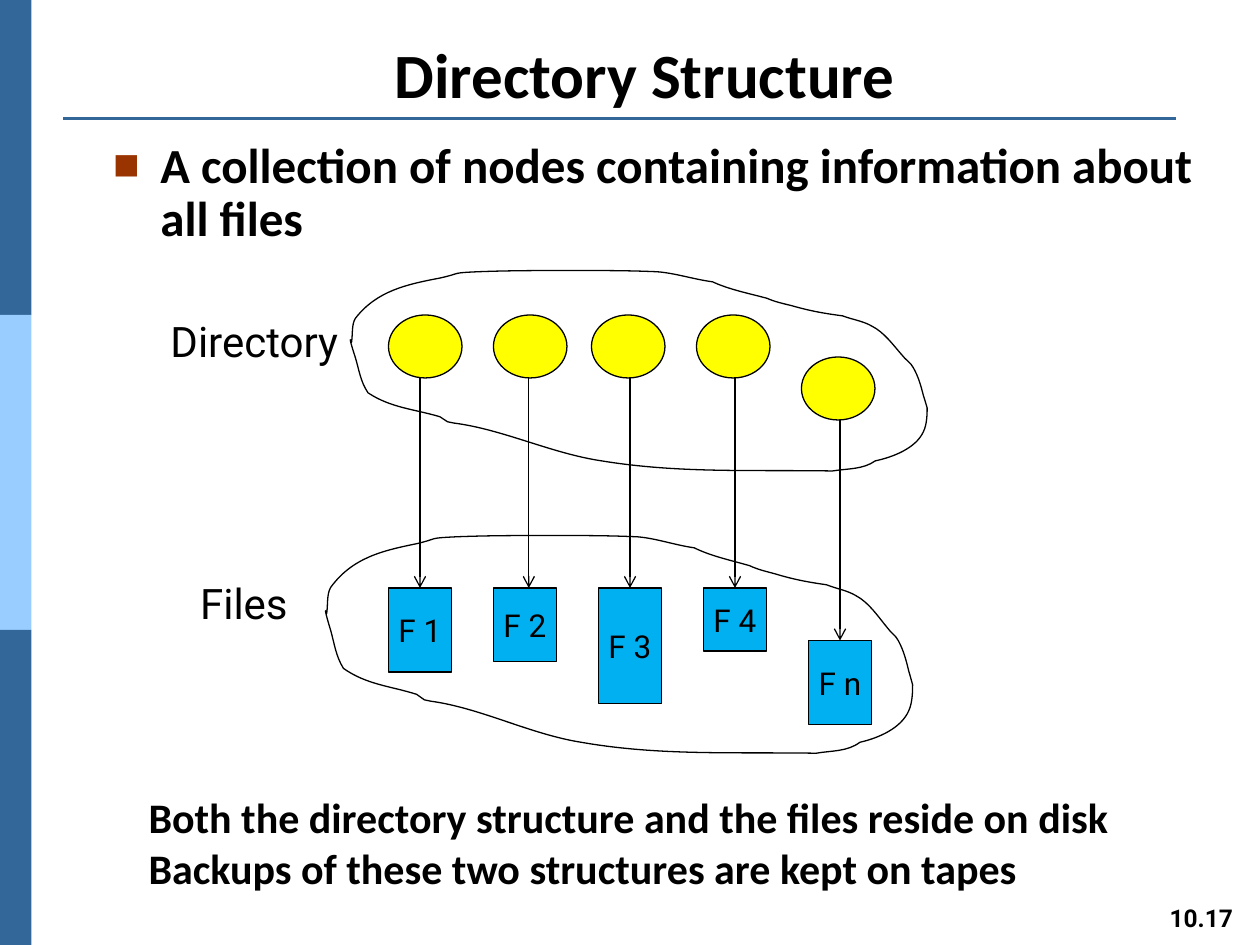
from dataclasses import dataclass

from lxml.etree import SubElement
from pptx import Presentation
from pptx.dml.color import RGBColor
from pptx.enum.shapes import MSO_CONNECTOR, MSO_SHAPE
from pptx.enum.text import MSO_ANCHOR, MSO_AUTO_SIZE, PP_ALIGN
from pptx.oxml.ns import qn
from pptx.util import Pt

BLACK, NAVY, SKY = "000000", "336699", "99CCFF"
YELLOW, CYAN, RUST = "FFFF00", "00B0F0", "993300"

HEADING = {"name": "Calibri", "size": Pt(36), "bold": True}
BULLET = HEADING | {"size": Pt(28)}
REMARK = HEADING | {"size": Pt(24)}
LABEL = {"name": "Roboto", "size": Pt(24), "bold": False}
FILE_LABEL = LABEL | {"size": Pt(18)}
PAGE = LABEL | {"size": Pt(14), "bold": True}

NODE_WIDTH, NODE_HEIGHT, FILE_WIDTH = 42, 36, 36
FILE_LEFT, FILE_STEP = 222, 60

# Closed Bezier outline on a 457 x 161 grid: a start, then three points per curve
CLOUD_GRID = (457, 161)
CLOUD = [
    (1, 57),
    (2, 50), (1, 43), (4, 38), (21, 16), (45, 11), (71, 6),
    (89, 2), (79, 2), (101, 1), (126, 0), (151, 0), (177, 0),
    (199, 0), (221, 0), (243, 1), (257, 2), (272, 7), (287, 9),
    (300, 15), (315, 18), (330, 22), (337, 25), (342, 26), (350, 28),
    (364, 32), (375, 34), (390, 36), (398, 39), (406, 40), (413, 44),
    (423, 49), (430, 59), (437, 67), (440, 71), (444, 73), (446, 77),
    (450, 84), (452, 91), (454, 99), (455, 102), (457, 109), (457, 109),
    (457, 113), (457, 122), (454, 128), (448, 141), (430, 148), (416, 151),
    (406, 158), (394, 157), (382, 159), (318, 158), (260, 161), (199, 151),
    (159, 145), (121, 126), (82, 121), (80, 121), (79, 120), (77, 120),
    (75, 119), (73, 117), (71, 116), (51, 110), (32, 109), (14, 97),
    (8, 88), (7, 79), (4, 69), (4, 69), (0, 57), (0, 55),
    (0, 54), (1, 56), (1, 57),
]


@dataclass
class Entry:
    """A directory node and the file it points to."""
    name: str
    node_left: float
    node_top: float
    arrow_x: float
    file_top: float
    file_height: float


ENTRIES = [
    Entry("F 1", 222, 180, 240, 336, 48),
    Entry("F 2", 282, 180, 302.2, 336, 42),
    Entry("F 3", 338, 180, 360, 336, 66),
    Entry("F 4", 398, 180, 420, 336, 36),
    Entry("F n", 458, 204, 480, 366, 48),
]


def rgb(color: str) -> RGBColor:
    return RGBColor.from_string(color)


def write(frame, lines: list[str], font: dict, **layout) -> None:
    """Fill a text frame; layout holds frame attributes and the alignment."""
    align = layout.pop("align", PP_ALIGN.CENTER)
    for attribute, value in ({"auto_size": MSO_AUTO_SIZE.NONE} | layout).items():
        setattr(frame, attribute, value)
    frame.text = "\n".join(lines)
    for paragraph in frame.paragraphs:
        paragraph.alignment = align
        for run in paragraph.runs:
            for attribute, value in font.items():
                setattr(run.font, attribute, value)
            run.font.color.rgb = rgb(BLACK)


def place(shape, left: float, top: float, width: float, height: float) -> None:
    shape.left, shape.top = Pt(left), Pt(top)
    shape.width, shape.height = Pt(width), Pt(height)


def add_text(slide, box: tuple, lines: list[str], font: dict, **layout) -> None:
    frame = slide.shapes.add_textbox(*map(Pt, box)).text_frame
    write(frame, lines, font, **layout)


def outline(shape, color: str = BLACK, width: float = 0.75) -> None:
    shape.line.color.rgb = rgb(color)
    shape.line.width = Pt(width)


def add_filled(slide, kind: MSO_SHAPE, box: tuple, color: str, outlined: bool = True):
    shape = slide.shapes.add_shape(kind, *map(Pt, box))
    shape.shadow.inherit = False
    shape.fill.solid()
    shape.fill.fore_color.rgb = rgb(color)
    if outlined:
        outline(shape)
    else:
        shape.line.fill.background()
    return shape


def add_line(slide, start: tuple, end: tuple, color: str = BLACK, width: float = 0.75):
    line = slide.shapes.add_connector(MSO_CONNECTOR.STRAIGHT, *map(Pt, start + end))
    outline(line, color, width)
    SubElement(line._element.spPr, qn("a:effectLst"))
    return line


def add_entry(slide, entry: Entry, file_left: float) -> None:
    node = (entry.node_left, entry.node_top, NODE_WIDTH, NODE_HEIGHT)
    add_filled(slide, MSO_SHAPE.OVAL, node, YELLOW)
    file_box = (file_left, entry.file_top, FILE_WIDTH, entry.file_height)
    file = add_filled(slide, MSO_SHAPE.RECTANGLE, file_box, CYAN)
    write(file.text_frame, [entry.name], FILE_LABEL,
          word_wrap=False, vertical_anchor=MSO_ANCHOR.MIDDLE)
    arrow = add_line(slide, (entry.arrow_x, entry.node_top + NODE_HEIGHT),
                     (entry.arrow_x, entry.file_top))
    if entry.arrow_x == file_left + FILE_WIDTH / 2:
        arrow.end_connect(file, 0)
    SubElement(arrow.line._get_or_add_ln(), qn("a:tailEnd"), type="arrow")


def bend(freeform) -> None:
    """Join every three line segments of a freeform into one Bezier curve."""
    segments = list(freeform._element.iter(qn("a:lnTo")))
    for first in range(0, len(segments), 3):
        curve, *others = segments[first:first + 3]
        curve.tag = qn("a:cubicBezTo")
        for other in others:
            curve.append(other[0])
            other.getparent().remove(other)


def add_cloud(slide, left: float, top: float, width: float, height: float) -> None:
    points = [(Pt(left + x * width / CLOUD_GRID[0]), Pt(top + y * height / CLOUD_GRID[1]))
              for x, y in CLOUD]
    builder = slide.shapes.build_freeform(*points[0])
    builder.add_line_segments(points[1:], close=True)
    cloud = builder.convert_to_shape()
    bend(cloud)
    cloud.shadow.inherit = False
    cloud.fill.background()
    outline(cloud)


def add_bullet(paragraph) -> None:
    paragraph.line_spacing = 0.9
    paragraph.space_before = Pt(9.8)
    properties = paragraph._p.get_or_add_pPr()
    properties.set("marL", str(Pt(27)))
    properties.set("indent", str(Pt(-27)))
    color = SubElement(properties, qn("a:buClr"))
    SubElement(color, qn("a:srgbClr"), val=RUST)
    SubElement(properties, qn("a:buSzPct"), val="90000")
    SubElement(properties, qn("a:buFont"), typeface="Arial")
    SubElement(properties, qn("a:buChar"), char="■")


def main() -> None:
    deck = Presentation()
    deck.slide_width, deck.slide_height = Pt(720), Pt(540)
    slide = deck.slides.add_slide(deck.slide_layouts[1])

    for row, color in enumerate((NAVY, SKY, NAVY)):
        add_filled(slide, MSO_SHAPE.RECTANGLE, (0, 180 * row, 18, 180), color, outlined=False)
    add_line(slide, (36, 67.7), (672, 67.7), NAVY, 1.5)
    add_text(slide, (661, 512.6, 51, 24.5), ["10.17"], PAGE, word_wrap=False)

    title, body = slide.placeholders
    place(title, 44.4, 21.6, 648, 45.4)
    write(title.text_frame, ["Directory Structure"], HEADING,
          vertical_anchor=MSO_ANCHOR.BOTTOM)
    place(body, 57.5, 77, 641, 28.8)
    write(body.text_frame, ["A collection of nodes containing information about all files"],
          BULLET, align=PP_ALIGN.LEFT, vertical_anchor=MSO_ANCHOR.TOP)
    add_bullet(body.text_frame.paragraphs[0])

    for column, entry in enumerate(ENTRIES):
        add_entry(slide, entry, FILE_LEFT + column * FILE_STEP)
    add_cloud(slide, 200.2, 154.6, 329.6, 116)
    add_cloud(slide, 186, 306, 335.5, 126)
    for name, box in (("Directory", (89.5, 176.5, 111.6, 36.7)),
                      ("Files", (106.6, 326.2, 65.5, 36.7))):
        add_text(slide, box, [name], LABEL,
                 word_wrap=False, vertical_anchor=MSO_ANCHOR.MIDDLE)
    add_text(slide, (77.8, 449, 602, 29.5),
             ["Both the directory structure and the files reside on disk",
              "Backups of these two structures are kept on tapes"],
             REMARK, word_wrap=True, align=PP_ALIGN.LEFT)

    deck.save("out.pptx")


if __name__ == "__main__":
    main()
